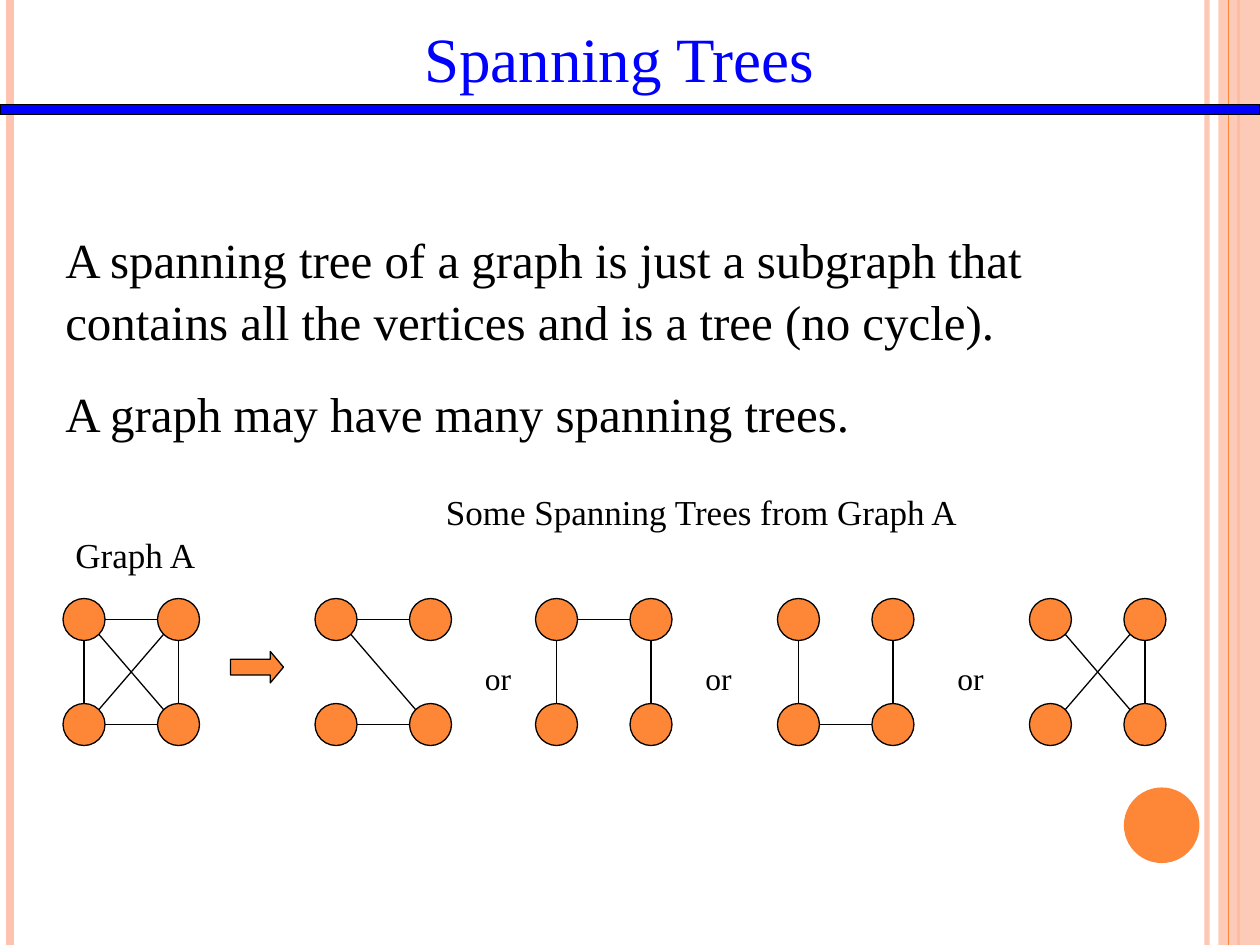
from math import sqrt

from lxml.etree import SubElement
from pptx import Presentation
from pptx.dml.color import RGBColor
from pptx.enum.shapes import MSO_CONNECTOR, MSO_SHAPE
from pptx.enum.text import PP_ALIGN
from pptx.oxml.ns import qn
from pptx.util import Inches, Pt

COLORS = {
    "ink": "000000",
    "title": "0000FF",
    "orange": "FE8637",
    "peach": "FEC3AE",
}
FONT = "Times New Roman"

# Every graph has four vertices: top/bottom, left/right
DIAMETER = 1 / 3
RADIUS = DIAMETER / 2
COLUMN_STEP, ROW_STEP = 0.75, 5 / 6
GRAPH_TOP = 4.75
VERTICES = {
    "TL": (0, 0),
    "TR": (COLUMN_STEP, 0),
    "BL": (0, ROW_STEP),
    "BR": (COLUMN_STEP, ROW_STEP),
}
GRAPH_A = (0.5, ["TL-TR", "TL-BL", "BL-BR", "TR-BR", "TR-BL", "TL-BR"])
SPANNING_TREES = [
    (2.5, ["TL-TR", "BL-BR", "TL-BR"]),
    (4.25, ["TL-TR", "TL-BL", "TR-BR"]),
    (6.17, ["TL-BL", "BL-BR", "TR-BR"]),
    (8.17, ["TR-BR", "TR-BL", "TL-BR"]),
]


def rgb(name):
    return RGBColor.from_string(COLORS[name])


def set_alpha(fill_owner, percent):
    color = next(fill_owner.iter(qn("a:srgbClr")))
    SubElement(color, qn("a:alpha"), val=str(percent * 1000))


def add_text(slide, box, paragraphs, size, color="ink", align=PP_ALIGN.LEFT,
             space_before=0):
    frame = slide.shapes.add_textbox(*map(Inches, box)).text_frame
    frame.word_wrap = True
    for index, wording in enumerate(paragraphs):
        paragraph = frame.paragraphs[0] if index == 0 else frame.add_paragraph()
        paragraph.alignment = align
        paragraph.space_before = Pt(space_before)
        paragraph.line_spacing = 1.05
        run = paragraph.add_run()
        run.text = wording
        run.font.name = FONT
        run.font.size = Pt(size)
        run.font.color.rgb = rgb(color)


def add_figure(shapes, preset, box, fill, outline="ink"):
    figure = shapes.add_shape(preset, *map(Inches, box))
    figure.shadow.inherit = False
    figure.fill.solid()
    figure.fill.fore_color.rgb = rgb(fill)
    if outline:
        figure.line.color.rgb = rgb(outline)
        figure.line.width = Pt(0.75)
    else:
        figure.line.fill.background()
    return figure


def add_line(shapes, start, end, color="ink", width=0.75):
    line = shapes.add_connector(MSO_CONNECTOR.STRAIGHT,
                                *map(Inches, (*start, *end)))
    line.line.color.rgb = rgb(color)
    line.line.width = Pt(width)
    SubElement(line._element.spPr, qn("a:effectLst"))
    return line


def add_graph(shapes, left, edges):
    for x, y in VERTICES.values():
        add_figure(shapes, MSO_SHAPE.OVAL,
                   (left + x, GRAPH_TOP + y, DIAMETER, DIAMETER), "orange")
    for edge in edges:
        (x1, y1), (x2, y2) = (VERTICES[name] for name in edge.split("-"))
        # Edges run from rim to rim; diagonals leave at 45 degrees
        inset = RADIUS / sqrt(2) if x1 != x2 and y1 != y2 else RADIUS
        dx = inset * ((x2 > x1) - (x2 < x1))
        dy = inset * ((y2 > y1) - (y2 < y1))
        center_x, center_y = left + RADIUS, GRAPH_TOP + RADIUS
        add_line(shapes, (center_x + x1 + dx, center_y + y1 + dy),
                 (center_x + x2 - dx, center_y + y2 - dy))


def add_side_stripes(slide):
    shapes = slide.shapes

    def stripe(x, color, width):
        return add_line(shapes, (x, 0), (x, 7.5), color, width)

    set_alpha(stripe(9.58, "peach", 3)._element, 93)
    stripe(0.08, "peach", 4.5)
    stripe(9.83, "orange", 1.5)
    band = add_figure(shapes, MSO_SHAPE.RECTANGLE, (9.67, 0, 0.33, 7.5),
                      "peach", outline=None)
    set_alpha(band._element.spPr, 87)
    stripe(9.75, "orange", 0.75)
    add_figure(shapes, MSO_SHAPE.OVAL, (8.92, 6.25, 0.6, 0.6), "orange",
               outline=None)


def main():
    deck = Presentation()
    deck.slide_width, deck.slide_height = Inches(10), Inches(7.5)
    slide = deck.slides.add_slide(deck.slide_layouts[6])

    add_side_stripes(slide)

    # Definition
    add_text(slide, (0.42, 1.75, 9.17, 1.75), [
        "A spanning tree of a graph is just a subgraph that contains all "
        "the vertices and is a tree (no cycle).",
        "A graph may have many spanning trees.",
    ], size=28, space_before=17.5)

    # Graph A and its spanning trees
    add_graph(slide.shapes, *GRAPH_A)
    arrow = add_figure(slide.shapes, MSO_SHAPE.RIGHT_ARROW,
                       (1.83, 5.17, 0.42, 0.25), "orange")
    arrow.adjustments[1] = 0.42
    for left, edges in SPANNING_TREES:
        add_graph(slide.shapes.add_group_shape().shapes, left, edges)

    # Labels
    for left in (3.75, 5.5, 7.5):
        add_text(slide, (left, 5.17, 0.42, 0.4), ["or"], size=18,
                 space_before=11.2)
    add_text(slide, (3.44, 3.83, 5.17, 0.44),
             ["Some Spanning Trees from Graph A"], size=20, space_before=12.5)
    add_text(slide, (0.5, 4.17, 1.17, 0.44), ["Graph A"], size=20,
             space_before=12.5)

    # Title and rule
    add_text(slide, (3.25, 0.08, 3.33, 0.7), ["Spanning Trees"], size=36,
             color="title", align=PP_ALIGN.CENTER)
    add_figure(slide.shapes, MSO_SHAPE.RECTANGLE, (0, 0.83, 10, 0.08), "title")

    deck.save("out.pptx")


if __name__ == "__main__":
    main()
